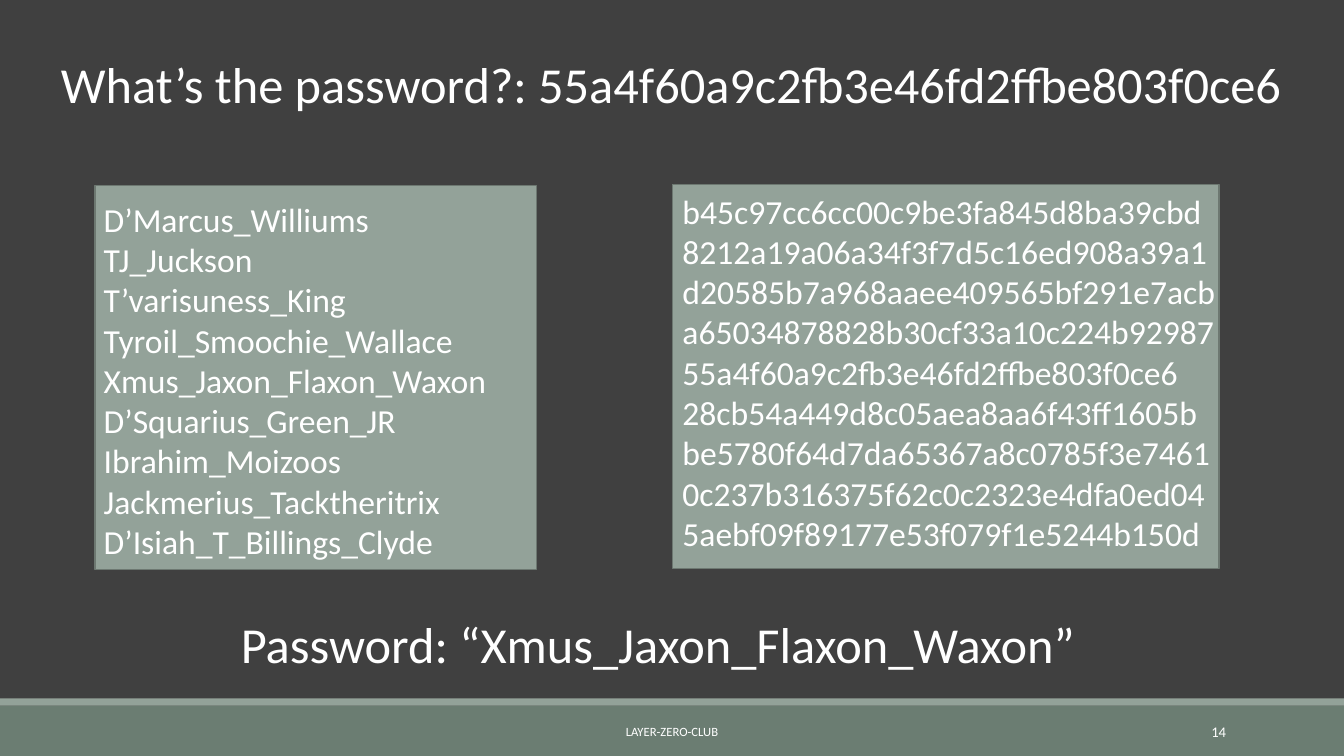
"""Build the password lookup slide with its names, hashes and answer."""
import pptx
import pptx.util
import pptx.dml.color
import pptx.enum.shapes
import pptx.enum.text

W, H = 13.33, 7.5
FONT, WHITE, SAGE, BAR, EDGE, DARK = "Calibri", "FFFFFF", "93A299", "6B7D72", "6D7871", "404040"
TITLE = "What’s the password?: 55a4f60a9c2fb3e46fd2ffbe803f0ce6"
ANSWER = "Password: “Xmus_Jaxon_Flaxon_Waxon”"
NAMES = [
    "D’Marcus_Williums", "TJ_Juckson", "T’varisuness_King",
    "Tyroil_Smoochie_Wallace", "Xmus_Jaxon_Flaxon_Waxon", "D’Squarius_Green_JR",
    "Ibrahim_Moizoos", "Jackmerius_Tacktheritrix", "D’Isiah_T_Billings_Clyde",
]
HASHES = [
    "b45c97cc6cc00c9be3fa845d8ba39cbd", "8212a19a06a34f3f7d5c16ed908a39a1",
    "d20585b7a968aaee409565bf291e7acb", "a65034878828b30cf33a10c224b92987",
    "55a4f60a9c2fb3e46fd2ffbe803f0ce6", "28cb54a449d8c05aea8aa6f43ff1605b",
    "be5780f64d7da65367a8c0785f3e7461", "0c237b316375f62c0c2323e4dfa0ed04",
    "5aebf09f89177e53f079f1e5244b150d",
]
SHAPE = pptx.enum.shapes.MSO_SHAPE
ALIGN = pptx.enum.text.PP_ALIGN
ANCHOR = pptx.enum.text.MSO_ANCHOR
BARS = [(0, 7, W, 0.5, BAR), (0, 6.93, W, 0.07, SAGE)]
PANELS = [(0.94, 1.84, 4.38, 3.81), (6.67, 1.83, 5.42, 3.81)]
TEXTS = [
    (NAMES, (0.93, 1.92, 4.38, 3.74), 24, ALIGN.LEFT, ANCHOR.TOP),
    (HASHES, (6.67, 1.84, 6.11, 3.74), 24, ALIGN.LEFT, ANCHOR.TOP),
    ([ANSWER], (2.29, 6.03, 8.76, 0.71), 36, ALIGN.LEFT, ANCHOR.TOP),
    (["LAYER-ZERO-CLUB"], (4.03, 7.06, 5.27, 0.4), 9, ALIGN.CENTER, ANCHOR.MIDDLE),
    (["14"], (10.83, 7.06, 1.43, 0.4), 10.5, ALIGN.RIGHT, ANCHOR.MIDDLE),
]


def rgb(code):
    return pptx.dml.color.RGBColor.from_string(code)


def inches(box):
    return [pptx.util.Inches(v) for v in box]


def add_block(s, kind, box, fill, line=None):
    sp = s.shapes.add_shape(kind, *inches(box))
    sp.shadow.inherit = False
    sp.fill.solid()
    sp.fill.fore_color.rgb = rgb(fill)
    if line:
        sp.line.color.rgb = rgb(line)
        sp.line.width = pptx.util.Pt(1.25)
    else:
        sp.line.fill.background()


def write(sp, lines, size, align, anchor):
    tf = sp.text_frame
    tf.text = "\n".join(lines)
    tf.word_wrap = True
    tf.auto_size = pptx.enum.text.MSO_AUTO_SIZE.NONE
    tf.vertical_anchor = anchor
    for p in tf.paragraphs:
        p.alignment = align
        for r in p.runs:
            r.font.size = pptx.util.Pt(size)
            r.font.name = FONT
            r.font.color.rgb = rgb(WHITE)


prs = pptx.Presentation()
prs.slide_width, prs.slide_height = inches((W, H))
s = prs.slides.add_slide(prs.slide_layouts[5])
s.background.fill.solid()
s.background.fill.fore_color.rgb = rgb(DARK)

title = s.shapes.title
title.left, title.top, title.width, title.height = inches((0.12, 0.48, 13.08, 0.71))
write(title, [TITLE], 36, ALIGN.CENTER, ANCHOR.TOP)

for *box, fill in BARS:
    add_block(s, SHAPE.RECTANGLE, box, fill)
for box in PANELS:
    add_block(s, SHAPE.FLOWCHART_PROCESS, box, SAGE, EDGE)
for lines, box, size, align, anchor in TEXTS:
    write(s.shapes.add_textbox(*inches(box)), lines, size, align, anchor)

prs.save("out.pptx")
